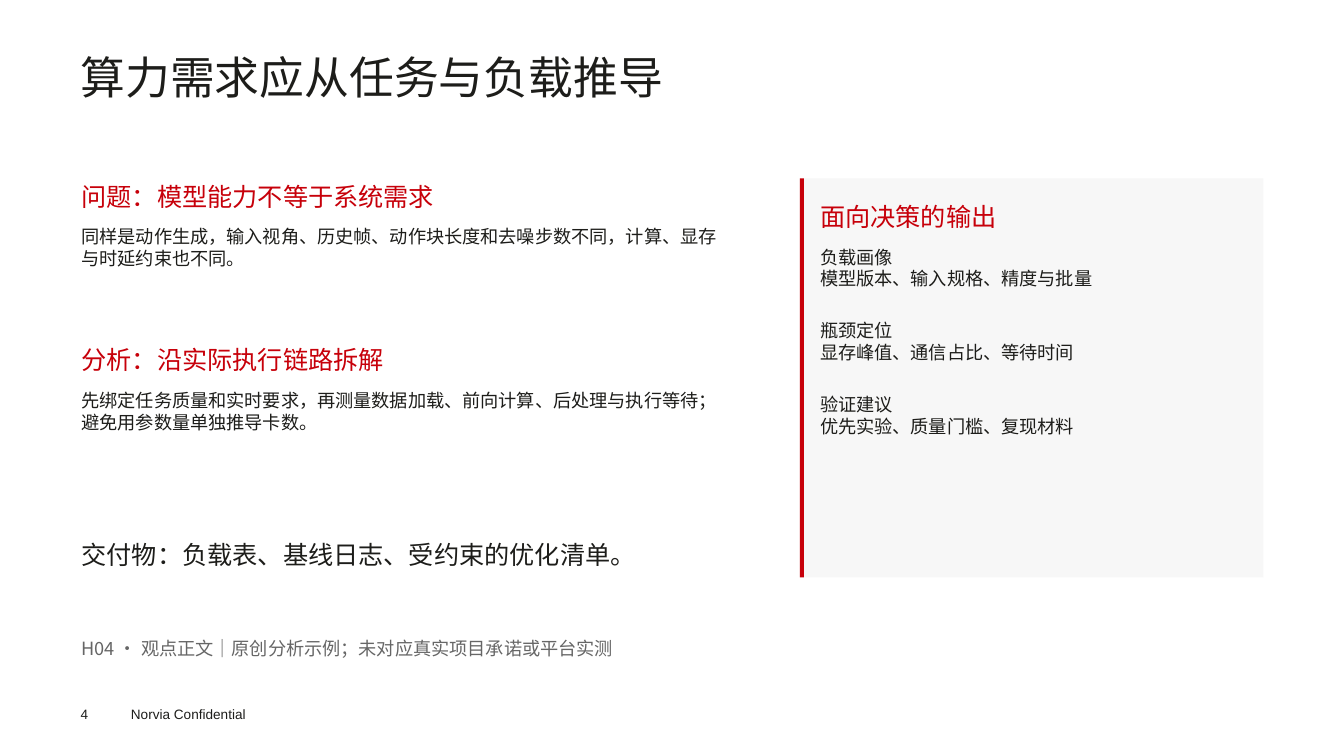
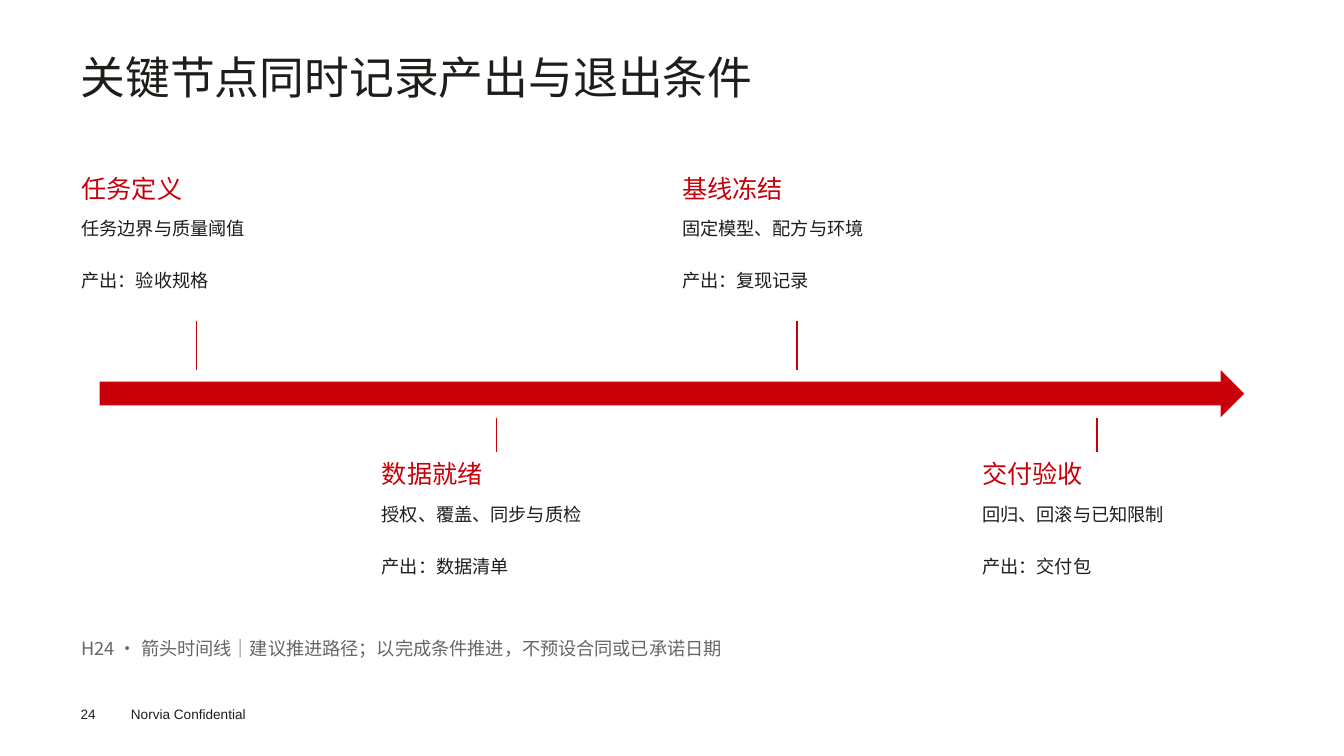
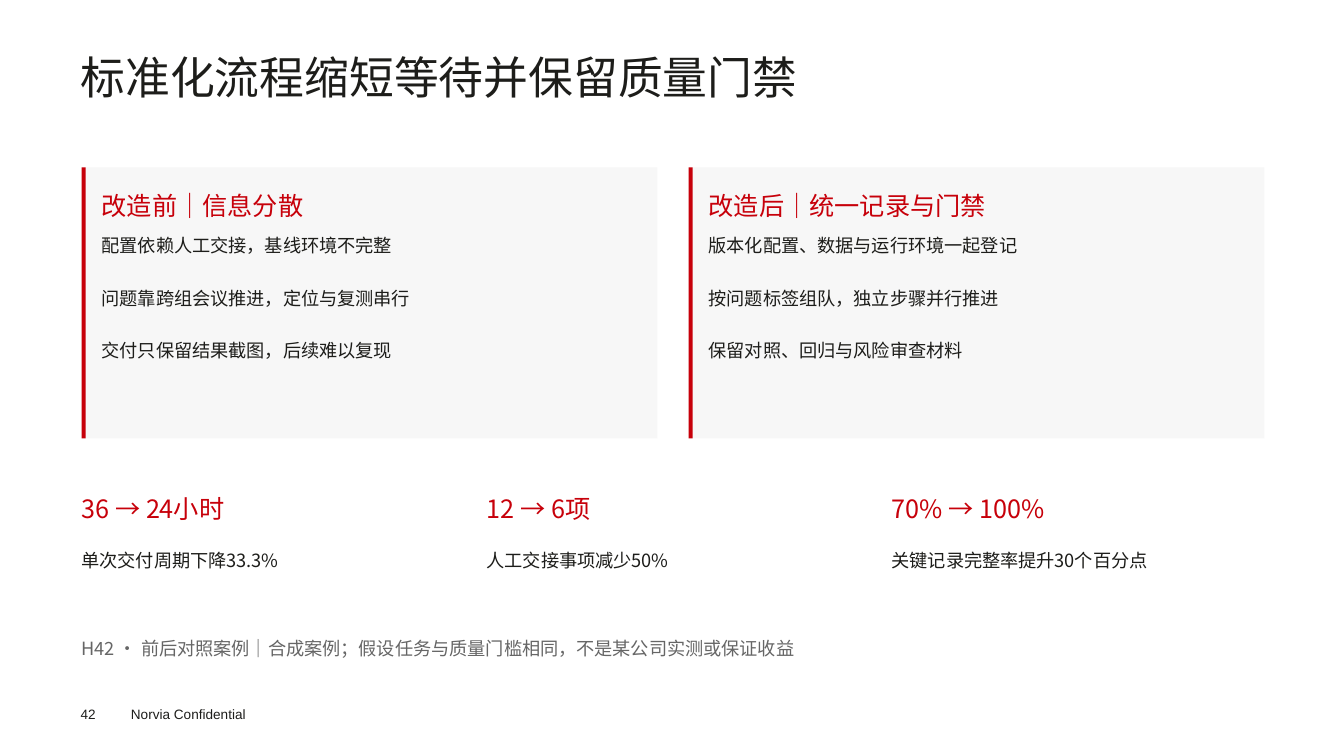
from dataclasses import dataclass
from lxml import etree
from pptx import Presentation
from pptx.dml.color import RGBColor
from pptx.enum import shapes, text
from pptx.oxml.ns import qn
from pptx.util import Inches, Pt


@dataclass(frozen=True)
class Theme:
    red: str = "C7000A"
    ink: str = "1D1D1A"
    footer_ink: str = "1D1D1B"
    gray: str = "666666"
    panel: str = "F7F7F7"
    font: str = "Noto Sans CJK SC"
    footer_font: str = "Arial"
    title: float = 32
    heading: float = 18
    body: float = 13
    footer: float = 9.7
    leading: float = 1.2
    title_line: float = 34.3
    drop: float = 0.11
    stroke: float = 1.13


THEME = Theme()
WIDTH, HEIGHT = 13.34, 7.5
LEFT, CONTENT = 0.81, 11.74
HEADING_HEIGHT, BODY_OFFSET = 0.38, 0.45
FOOTER = "Norvia Confidential"

ANALYSIS = {
    "page": 4,
    "title": "算力需求应从任务与负载推导",
    "note": "H04 · 观点正文｜原创分析示例；未对应真实项目承诺或平台实测",
    "sections": [
        ("问题：模型能力不等于系统需求",
         ["同样是动作生成，输入视角、历史帧、动作块长度和去噪步数不同，计算、显存与时延约束也不同。"]),
        ("分析：沿实际执行链路拆解",
         ["先绑定任务质量和实时要求，再测量数据加载、前向计算、后处理与执行等待；避免用参数量单独推导卡数。"]),
    ],
    "panel": ("面向决策的输出", [
        "负载画像\v模型版本、输入规格、精度与批量",
        "瓶颈定位\v显存峰值、通信占比、等待时间",
        "验证建议\v优先实验、质量门槛、复现材料",
    ]),
    "deliverable": "交付物：负载表、基线日志、受约束的优化清单。",
}

TIMELINE = {
    "page": 24,
    "title": "关键节点同时记录产出与退出条件",
    "note": "H24 · 箭头时间线｜建议推进路径；以完成条件推进，不预设合同或已承诺日期",
    "milestones": [
        ("任务定义", ["任务边界与质量阈值", "产出：验收规格"]),
        ("数据就绪", ["授权、覆盖、同步与质检", "产出：数据清单"]),
        ("基线冻结", ["固定模型、配方与环境", "产出：复现记录"]),
        ("交付验收", ["回归、回滚与已知限制", "产出：交付包"]),
    ],
}

COMPARISON = {
    "page": 42,
    "title": "标准化流程缩短等待并保留质量门禁",
    "note": "H42 · 前后对照案例｜合成案例；假设任务与质量门槛相同，不是某公司实测或保证收益",
    "panels": [
        ("改造前｜信息分散", [
            "配置依赖人工交接，基线环境不完整",
            "问题靠跨组会议推进，定位与复测串行",
            "交付只保留结果截图，后续难以复现",
        ]),
        ("改造后｜统一记录与门禁", [
            "版本化配置、数据与运行环境一起登记",
            "按问题标签组队，独立步骤并行推进",
            "保留对照、回归与风险审查材料",
        ]),
    ],
    "results": [
        ("36 → 24小时", "单次交付周期下降33.3%"),
        ("12 → 6项", "人工交接事项减少50%"),
        ("70% → 100%", "关键记录完整率提升30个百分点"),
    ],
}


def columns(count, gap, total=CONTENT):
    width = (total - gap * (count - 1)) / count
    return [(LEFT + index * (width + gap), width) for index in range(count)]


def add_text(slide, box, lines, size, color, font=THEME.font, line=None):
    frame = slide.shapes.add_textbox(*map(Inches, box)).text_frame
    frame.word_wrap = True
    frame.vertical_anchor = text.MSO_ANCHOR.TOP
    frame.margin_left = frame.margin_right = frame.margin_bottom = 0
    east_asian = font == THEME.font
    frame.margin_top = Pt(size * THEME.drop) if east_asian else 0
    for index, content in enumerate(lines):
        paragraph = frame.add_paragraph() if index else frame.paragraphs[0]
        paragraph.text = content
        paragraph.font.size = Pt(size)
        paragraph.font.color.rgb = RGBColor.from_string(color)
        paragraph.font.name = font
        if index:
            paragraph.space_before = Pt(THEME.heading * THEME.leading)
        if east_asian:
            paragraph.line_spacing = Pt(line or size * THEME.leading)
            defaults = paragraph._p.pPr.find(qn("a:defRPr"))
            etree.SubElement(defaults, qn("a:ea")).set("typeface", font)


def add_heading(slide, left, top, width, content, color=THEME.red):
    add_text(slide, (left, top, width, HEADING_HEIGHT), [content], THEME.heading, color)


def add_section(slide, left, top, width, height, section, offset=BODY_OFFSET):
    heading, lines = section
    add_heading(slide, left, top, width, heading)
    body = (left, top + offset, width, height - offset)
    add_text(slide, body, lines, THEME.body, THEME.ink)


def add_block(slide, kind, box, color):
    shape = slide.shapes.add_shape(kind, *map(Inches, box))
    shape.shadow.inherit = False
    shape.fill.solid()
    shape.fill.fore_color.rgb = RGBColor.from_string(color)
    shape.line.fill.background()


def add_panel(slide, left, top, width, height, section):
    rectangle = shapes.MSO_SHAPE.RECTANGLE
    add_block(slide, rectangle, (left, top, width, height), THEME.panel)
    add_block(slide, rectangle, (left, top, 0.04, height), THEME.red)
    padding = 0.2
    add_section(slide, left + padding, top + padding, width - 2 * padding,
                height - 2 * padding, section)


def add_tick(slide, x, top, bottom):
    connector = slide.shapes.add_connector(
        shapes.MSO_CONNECTOR.STRAIGHT, *map(Inches, (x, top, x, bottom)))
    connector.line.color.rgb = RGBColor.from_string(THEME.red)
    connector.line.width = Pt(THEME.stroke)
    etree.SubElement(connector._element.spPr, qn("a:effectLst"))


def start_slide(presentation, content):
    slide = presentation.slides.add_slide(presentation.slide_layouts[6])
    for left, width, label in ((0.8, 0.4, str(content["page"])), (1.3, 1.5, FOOTER)):
        add_text(slide, (left, 7, width, 0.16), [label], THEME.footer,
                 THEME.footer_ink, THEME.footer_font)
    add_text(slide, (0.8, 0.5, CONTENT, 1.09), [content["title"]], THEME.title,
             THEME.ink, line=THEME.title_line)
    add_text(slide, (LEFT, 6.3, CONTENT, 0.45), [content["note"]], THEME.body, THEME.gray)
    return slide


def build_analysis(presentation):
    slide = start_slide(presentation, ANALYSIS)
    top, pitch, width = 1.77, 1.62, 6.46
    for row, section in enumerate(ANALYSIS["sections"]):
        add_section(slide, LEFT, top + row * pitch, width, 1.35, section)
    add_panel(slide, 7.94, top, 4.6, 3.96, ANALYSIS["panel"])
    add_heading(slide, LEFT, 5.32, width, ANALYSIS["deliverable"], THEME.ink)


def build_timeline(presentation):
    slide = start_slide(presentation, TIMELINE)
    add_block(slide, shapes.MSO_SHAPE.RIGHT_ARROW, (0.99, 3.67, 11.36, 0.47), THEME.red)
    sides = [(1.69, 3.18, 3.67), (4.52, 4.15, 4.48)]
    slots = columns(4, 0.3, 11.62)
    for index, ((left, width), milestone) in enumerate(zip(slots, TIMELINE["milestones"])):
        top, tick_top, tick_bottom = sides[index % 2]
        add_section(slide, left, top, width, 1.37, milestone)
        add_tick(slide, left + 1.14, tick_top, tick_bottom)


def build_comparison(presentation):
    slide = start_slide(presentation, COMPARISON)
    for (left, width), panel in zip(columns(2, 0.31), COMPARISON["panels"]):
        add_panel(slide, left, 1.66, width, 2.69, panel)
    for (left, width), (value, label) in zip(columns(3, 0.37, 11.69), COMPARISON["results"]):
        add_section(slide, left, 4.87, width, 1.21, (value, [label]), 0.56)


def main():
    presentation = Presentation()
    presentation.slide_width = Inches(WIDTH)
    presentation.slide_height = Inches(HEIGHT)
    for build in (build_analysis, build_timeline, build_comparison):
        build(presentation)
    presentation.save("out.pptx")


if __name__ == "__main__":
    main()
